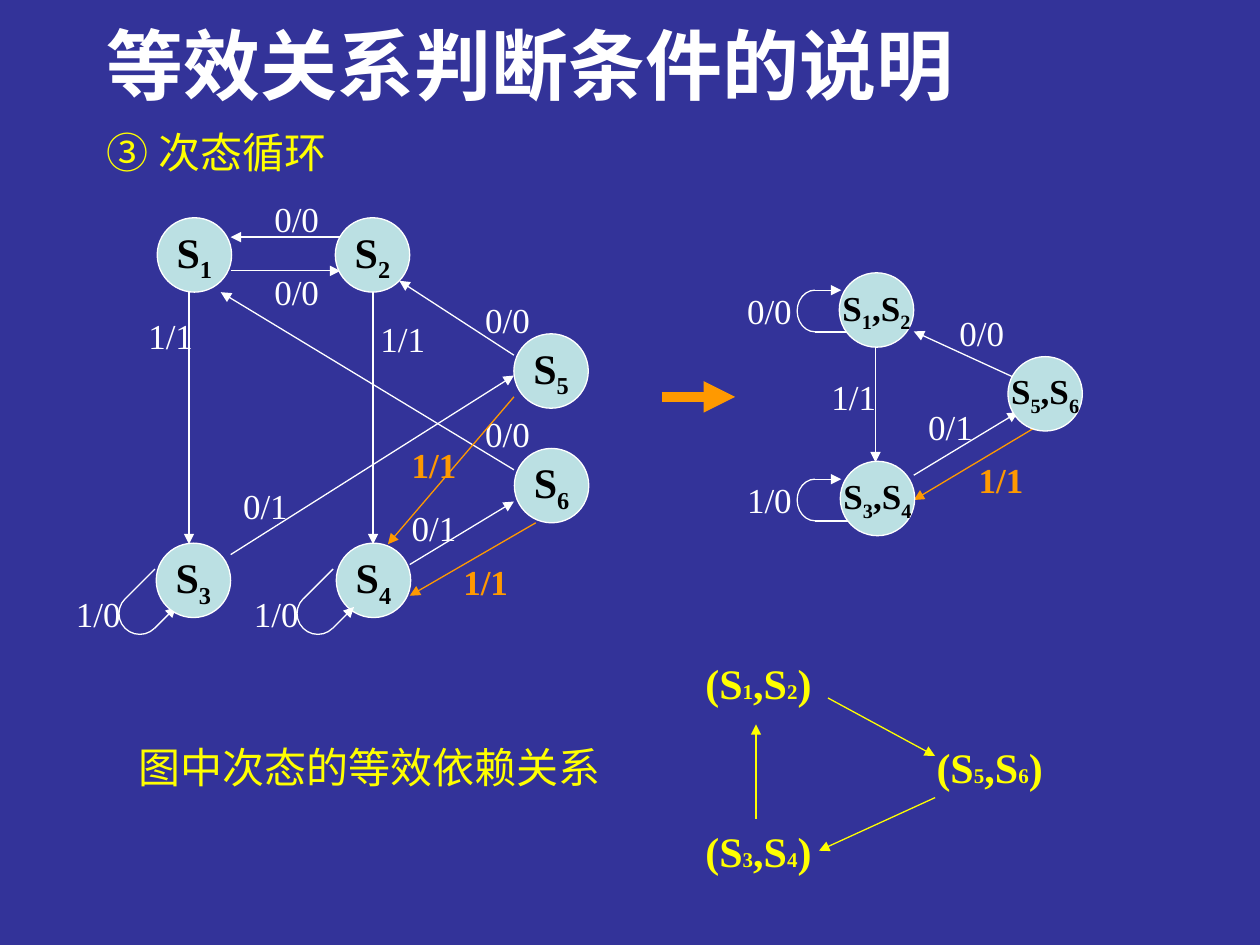
import math
from dataclasses import dataclass
from typing import NamedTuple, Optional

from lxml import etree
from pptx import Presentation
from pptx.dml.color import RGBColor
from pptx.enum.shapes import MSO_CONNECTOR, MSO_SHAPE
from pptx.enum.text import MSO_ANCHOR, MSO_AUTO_SIZE, PP_ALIGN
from pptx.oxml.ns import qn
from pptx.util import Cm, Pt

STRAIGHT = MSO_CONNECTOR.STRAIGHT
ARC, ELLIPSE = MSO_SHAPE.ARC, MSO_SHAPE.OVAL
TOP, MIDDLE = MSO_ANCHOR.TOP, MSO_ANCHOR.MIDDLE
LEFT, CENTER = PP_ALIGN.LEFT, PP_ALIGN.CENTER
NO_FIT, GROW = MSO_AUTO_SIZE.NONE, MSO_AUTO_SIZE.SHAPE_TO_FIT_TEXT


@dataclass(frozen=True)
class Theme:
    background: str = "333399"
    white: str = "FFFFFF"
    black: str = "000000"
    yellow: str = "FFFF00"
    orange: str = "FF9900"
    node: str = "BBE0E3"
    heading_font: str = "Arial"
    font: str = "Times New Roman"
    title_size: float = 44
    text_size: float = 24
    label_size: float = 20
    index_size: float = 12
    thin: float = 0.75
    thick: float = 6


THEME = Theme()


class Point(NamedTuple):
    x: float
    y: float


class Node(NamedTuple):
    """A state; indices stand between underscores in its name."""
    name: str
    corner: Point
    size: float = THEME.text_size


class Edge(NamedTuple):
    start: Point
    end: Point
    label: str
    label_corner: Point
    highlighted: bool = False


class Loop(NamedTuple):
    """A half ellipse from start_angle clockwise, with a straight tail at each end."""
    center: Point
    radii: Point
    start_angle: float
    start_tail: float
    end_tail: float
    arrow_at_start: bool
    label: str
    label_corner: Point


NODE_DIAMETER = 1.5
LABEL_EXTENT = Point(1.7, 1.09)
PAIR_EXTENT = Point(3.18, 1.27)

NODES = [
    Node("S_1_", Point(3.17, 4.39)),
    Node("S_2_", Point(6.76, 4.39)),
    Node("S_3_", Point(3.15, 10.95)),
    Node("S_4_", Point(6.78, 10.95)),
    Node("S_5_", Point(10.36, 6.73)),
    Node("S_6_", Point(10.37, 9.04)),
    Node("S_1_,S_2_", Point(16.92, 5.5), THEME.label_size),
    Node("S_3_,S_4_", Point(16.94, 9.3), THEME.label_size),
    Node("S_5_,S_6_", Point(20.32, 7.19), THEME.label_size),
]

EDGES = [
    # Full state graph
    Edge(Point(6.86, 4.78), Point(4.65, 4.78), "0/0", Point(5.28, 3.86)),
    Edge(Point(4.65, 5.46), Point(6.86, 5.46), "0/0", Point(5.28, 5.33)),
    Edge(Point(3.81, 5.89), Point(3.81, 10.97), "1/1", Point(2.74, 6.22)),
    Edge(Point(7.52, 5.77), Point(7.52, 10.97), "1/1", Point(7.42, 6.27)),
    Edge(Point(4.65, 11.18), Point(10.36, 7.57), "0/1", Point(4.65, 9.65)),
    Edge(Point(8.26, 11.38), Point(10.36, 10.11), "0/1", Point(8.05, 10.08)),
    Edge(Point(10.36, 7.16), Point(8.05, 5.66), "0/0", Point(9.53, 5.89)),
    Edge(Point(10.36, 9.47), Point(4.45, 5.89), "0/0", Point(9.53, 8.2)),
    Edge(Point(10.36, 8), Point(7.82, 10.97), "1/1", Point(8.05, 8.81), True),
    Edge(Point(10.8, 10.54), Point(8.26, 12.01), "1/1", Point(9.09, 11.18), True),
    # Merged state graph
    Edge(Point(20.75, 7.75), Point(18.42, 6.68), "0/0", Point(19.09, 6.15)),
    Edge(Point(20.83, 8.64), Point(18.42, 10.08), "1/1", Point(19.48, 9.12), True),
    Edge(Point(18.42, 9.58), Point(20.52, 8.31), "0/1", Point(18.46, 8.05)),
    Edge(Point(17.65, 6.99), Point(17.65, 9.32), "1/1", Point(16.51, 7.44)),
]


def side_loop(y: float, label: str) -> Loop:
    return Loop(Point(16.43, y), Point(0.36, 0.42), 90, 0.71, 0.53, False,
                label, Point(14.81, y - 0.55))


def corner_loop(x: float) -> Loop:
    return Loop(Point(x, 12.37), Point(0.42, 0.42), 45, 0.61, 0.85, True,
                "1/0", Point(x - 1.54, 11.81))


BACK_LOOPS = [side_loop(6.27, "0/0"), side_loop(10.08, "1/0"), corner_loop(2.82)]
FRONT_LOOP = corner_loop(6.41)

PAIRS = [
    ("(S_1_,S_2_)", Point(13.97, 13.12)),
    ("(S_5_,S_6_)", Point(18.63, 14.82)),
    ("(S_3_,S_4_)", Point(13.97, 16.51)),
]
DEPENDENCIES = [
    (Point(15.24, 16.51), Point(15.24, 14.6)),
    (Point(16.69, 14.07), Point(18.85, 15.24)),
    (Point(18.85, 16.08), Point(16.51, 17.15)),
]


def rgb(color: str) -> RGBColor:
    return RGBColor.from_string(color)


def write(shape, text: str, *, size: float = THEME.text_size, color: str = THEME.yellow,
          bold: bool = False, font: str = THEME.font, align=LEFT, anchor=TOP,
          wrap: bool = True, fit=NO_FIT, index_size: Optional[float] = None,
          line_spacing: Optional[float] = None) -> None:
    """Fill a shape; text between underscores is smaller, or a subscript without index_size."""
    frame = shape.text_frame
    frame.word_wrap, frame.auto_size, frame.vertical_anchor = wrap, fit, anchor
    paragraph = frame.paragraphs[0]
    paragraph.alignment, paragraph.space_before = align, Pt(0)
    paragraph.line_spacing = line_spacing
    for position, part in enumerate(text.split("_")):
        if not part:
            continue
        is_index = position % 2 == 1
        run = paragraph.add_run()
        run.text = part
        run.font.name, run.font.bold = font, bold
        run.font.size = Pt(index_size if is_index and index_size else size)
        run.font.color.rgb = rgb(color)
        if is_index and not index_size:
            run._r.get_or_add_rPr().set("baseline", "-25000")


def place(shape, corner: Point, extent: Point) -> None:
    shape.left, shape.top = Cm(corner.x), Cm(corner.y)
    shape.width, shape.height = Cm(extent.x), Cm(extent.y)


def add_text(slide, text: str, corner: Point, extent: Point, **text_format) -> None:
    box = slide.shapes.add_textbox(Cm(corner.x), Cm(corner.y), Cm(extent.x), Cm(extent.y))
    write(box, text, fit=GROW, **text_format)


def add_line(slide, start: Point, end: Point, color: str = THEME.white,
             width: float = THEME.thin, arrow: bool = True) -> None:
    line = slide.shapes.add_connector(STRAIGHT, Cm(start.x), Cm(start.y), Cm(end.x), Cm(end.y))
    line.line.color.rgb, line.line.width = rgb(color), Pt(width)
    if arrow:
        etree.SubElement(line.line._get_or_add_ln(), qn("a:tailEnd"), type="triangle")
    etree.SubElement(line._element.spPr, qn("a:effectLst"))


def add_outlined(slide, preset, corner: Point, extent: Point):
    shape = slide.shapes.add_shape(preset, Cm(corner.x), Cm(corner.y), Cm(extent.x), Cm(extent.y))
    shape.shadow.inherit = False
    shape.line.color.rgb, shape.line.width = rgb(THEME.white), Pt(THEME.thin)
    return shape


def add_node(slide, node: Node) -> None:
    circle = add_outlined(slide, ELLIPSE, node.corner, Point(NODE_DIAMETER, NODE_DIAMETER))
    circle.fill.solid()
    circle.fill.fore_color.rgb = rgb(THEME.node)
    write(circle, node.name, size=node.size, color=THEME.black, bold=True,
          align=CENTER, anchor=MIDDLE, wrap=False)


def add_edge(slide, edge: Edge) -> None:
    color = THEME.orange if edge.highlighted else THEME.white
    add_line(slide, edge.start, edge.end, color)
    add_text(slide, edge.label, edge.label_corner, LABEL_EXTENT,
             size=THEME.label_size, color=color, bold=edge.highlighted)


def add_loop(slide, loop: Loop) -> None:
    (x, y), (rx, ry) = loop.center, loop.radii
    arc = add_outlined(slide, ARC, Point(x - rx, y - ry), Point(2 * rx, 2 * ry))
    arc.fill.background()
    # Arc adjustments count 60000ths of a degree, scaled by 100000
    arc.adjustments[0] = loop.start_angle * 0.6
    arc.adjustments[1] = (loop.start_angle + 180) * 0.6

    angle = math.radians(loop.start_angle)
    cos, sin = math.cos(angle), math.sin(angle)
    for side, tail, arrow in ((1, loop.start_tail, loop.arrow_at_start),
                              (-1, loop.end_tail, not loop.arrow_at_start)):
        joint = Point(x + side * rx * cos, y + side * ry * sin)
        tip = Point(joint.x + tail * sin, joint.y - tail * cos)
        add_line(slide, joint, tip, arrow=arrow)
    add_text(slide, loop.label, loop.label_corner, LABEL_EXTENT,
             size=THEME.label_size, color=THEME.white)


def add_headings(slide) -> None:
    title, topic = slide.shapes.title, slide.placeholders[1]
    place(title, Point(1.9, 0.64), Point(20.6, 1.27))
    write(title, "等效关系判断条件的说明", size=THEME.title_size, color=THEME.white,
          bold=True, font=THEME.heading_font, anchor=MIDDLE)
    place(topic, Point(1.9, 2.54), Point(7.2, 1.17))
    properties = topic.text_frame.paragraphs[0]._p.get_or_add_pPr()
    properties.set("marL", "0")
    properties.set("indent", "0")
    etree.SubElement(properties, qn("a:buNone"))
    write(topic, "③ 次态循环", line_spacing=0.9)


def main() -> None:
    deck = Presentation()
    deck.slide_width, deck.slide_height = Cm(25.4), Cm(19.05)
    slide = deck.slides.add_slide(deck.slide_layouts[1])
    slide.background.fill.solid()
    slide.background.fill.fore_color.rgb = rgb(THEME.background)

    add_headings(slide)
    for edge in EDGES:
        add_edge(slide, edge)
    for loop in BACK_LOOPS:
        add_loop(slide, loop)
    for node in NODES:
        add_node(slide, node)
    add_loop(slide, FRONT_LOOP)
    add_line(slide, Point(13.34, 8), Point(14.82, 8), THEME.orange, THEME.thick)

    add_text(slide, "图中次态的等效依赖关系", Point(2.54, 14.82), Point(11.86, 1.27))
    for pair, corner in PAIRS:
        add_text(slide, pair, corner, PAIR_EXTENT, bold=True, index_size=THEME.index_size)
    for start, end in DEPENDENCIES:
        add_line(slide, start, end, THEME.yellow)
    deck.save("out.pptx")


if __name__ == "__main__":
    main()
